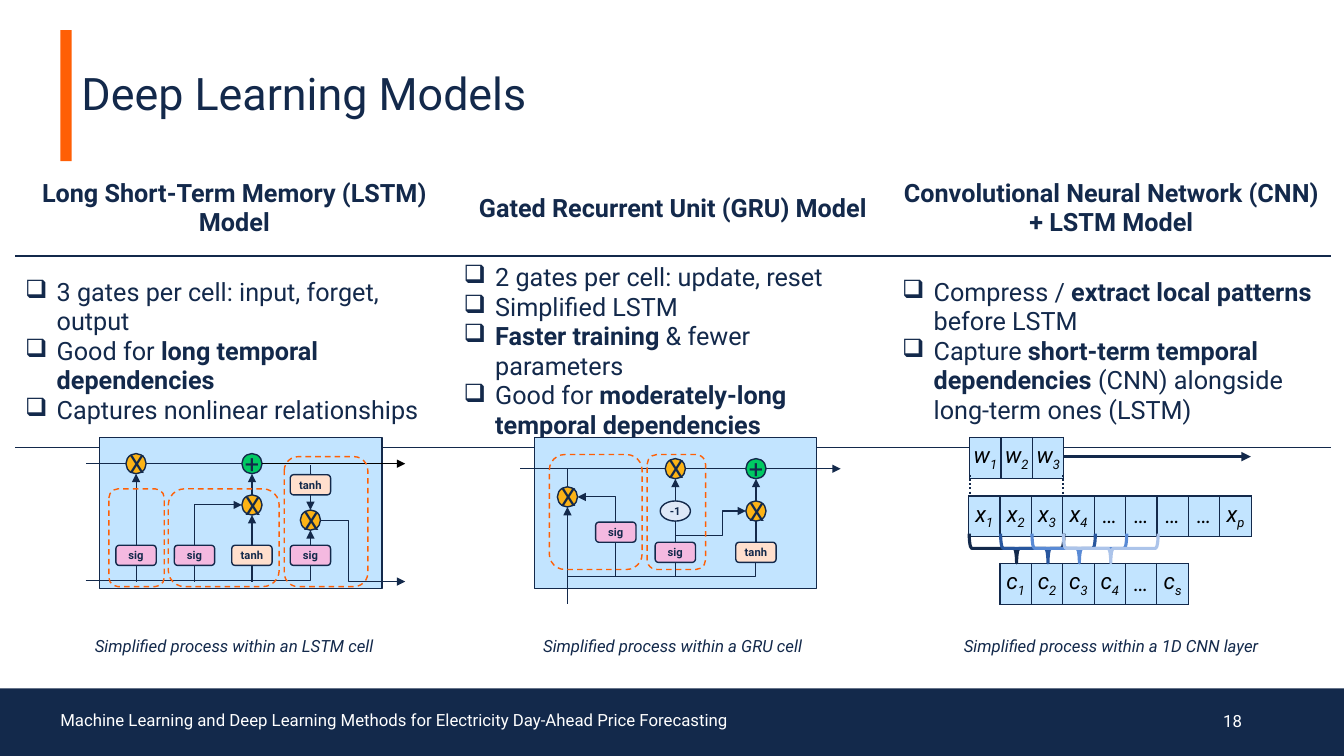
"""Build the slide comparing LSTM, GRU and CNN + LSTM models."""
from pptx import Presentation
from pptx.dml.color import RGBColor
from pptx.enum.dml import MSO_LINE
from pptx.enum.shapes import MSO_CONNECTOR, MSO_SHAPE
from pptx.enum.text import MSO_ANCHOR, PP_ALIGN
from pptx.oxml.ns import qn
from pptx.oxml.xmlchemy import OxmlElement
from pptx.util import Pt

PX = 9144
FONT = "Roboto"
COLORS = {
    "navy": "13294B", "orange": "FF5F05", "white": "FFFFFF", "black": "000000",
    "sky": "C2E4FF", "pink": "F4B9E0", "peach": "FFDFCD", "amber": "FCB316",
    "green": "00C962", "mist": "DEE8F7",
    "blue1": "28569E", "blue2": "598AD5", "blue3": "ACC4EA",
}
TITLE = "Deep Learning Models"
FOOTER = "Machine Learning and Deep Learning Methods for Electricity Day-Ahead Price Forecasting"
PAGE = "18"
MODELS = [
    ("Long Short-Term Memory (LSTM) Model",
     ["3 gates per cell: input, forget, output",
      "Good for **long temporal dependencies**",
      "Captures nonlinear relationships"],
     "Simplified process within an LSTM cell"),
    ("Gated Recurrent Unit (GRU) Model",
     ["2 gates per cell: update, reset",
      "Simplified LSTM",
      "**Faster training** & fewer parameters",
      "Good for **moderately-long temporal dependencies**"],
     "Simplified process within a GRU cell"),
    ("Convolutional Neural Network (CNN) + LSTM Model",
     ["Compress / **extract local patterns** before LSTM",
      "Capture **short-term temporal dependencies** (CNN) alongside long-term ones (LSTM)"],
     "Simplified process within a 1D CNN layer"),
]
ROW_HEIGHTS = [94, 186, 212]
COLUMN_WIDTH = 435

CELL_LEFTS = [99, 530]
NODE_STYLES = {
    "sig": (MSO_SHAPE.ROUNDED_RECTANGLE, 40, "pink", 8),
    "tanh": (MSO_SHAPE.ROUNDED_RECTANGLE, 40, "peach", 8),
    "-1": (MSO_SHAPE.OVAL, 30, "mist", 8),
    "X": (MSO_SHAPE.OVAL, 20, "amber", 18),
    "+": (MSO_SHAPE.OVAL, 20, "green", 18),
}
NODES = [
    ("sig", 135, 551), ("tanh", 250, 551), ("sig", 193, 551), ("sig", 308, 551),
    ("tanh", 308, 481), ("X", 308, 516), ("X", 250, 501), ("+", 250, 460), ("X", 135, 460),
    ("sig", 611, 528), ("sig", 670, 548), ("tanh", 750, 548), ("X", 563, 493),
    ("X", 750, 507), ("X", 670, 465), ("+", 750, 465), ("-1", 670, 507),
]
GATE_OUTLINES = [
    (108, 485, 55, 97), (167, 485, 110, 97), (282, 453, 83, 129),
    (545, 451, 92, 114), (642, 451, 58, 114),
]
ARROWS = [
    (250, 541, 250, 511), (250, 491, 250, 470), (135, 541, 135, 470),
    (308, 541, 308, 526), (308, 491, 308, 506), (670, 497, 670, 475),
    (750, 497, 750, 475), (760, 465, 834, 465), (563, 599, 563, 503),
]
WIRES = [
    (516, 465, 660, 465), (563, 483, 563, 465), (611, 538, 611, 572), (670, 558, 670, 572),
    (670, 538, 670, 517), (680, 465, 740, 465), (750, 538, 750, 517), (250, 561, 250, 577),
    (193, 561, 193, 577), (135, 561, 135, 577), (308, 471, 308, 461), (125, 460, 85, 460),
    (145, 460, 240, 460),
]
CORNERS = [
    (240, 501, 193, 541, "headEnd"), (573, 493, 611, 518, "headEnd"),
    (563, 572, 750, 558, None), (85, 576, 308, 561, None),
]
STEPS = [(318, 516, 402, 577, 0.336), (670, 531, 740, 507, 0.672)]

VECTORS = [
    (961, 492, ["x1", "x2", "x3", "x4", "…", "…", "…", "…", "xp"]),
    (962, 434, ["w1", "w2", "w3"]),
    (992, 559, ["c1", "c2", "c3", "c4", "…", "cs"]),
]
VECTOR_STEP = 31.15
BRACE_COLORS = ["navy", "blue1", "blue2", "blue3"]

presentation = Presentation()
presentation.slide_width, presentation.slide_height = 12192000, 6858000
slide = presentation.slides.add_slide(presentation.slide_layouts[6])


def emu(*lengths):
    return [round(length * PX) for length in lengths]


def rgb(name):
    return RGBColor.from_string(COLORS[name])


def child(parent, tag, **attributes):
    element = OxmlElement(tag)
    for key, value in attributes.items():
        element.set(key, str(value))
    parent.append(element)
    return element


def style(font, size, color="navy", bold=None, italic=None):
    font.name, font.size, font.bold, font.italic = FONT, Pt(size), bold, italic
    font.color.rgb = rgb(color)


def add_shape(kind, box, fill=None, line=None, width=1):
    shape = slide.shapes.add_shape(kind, *emu(*box))
    shape.shadow.inherit = False
    if fill:
        shape.fill.solid()
        shape.fill.fore_color.rgb = rgb(fill)
    else:
        shape.fill.background()
    if line:
        shape.line.color.rgb = rgb(line)
        shape.line.width = Pt(width)
    else:
        shape.line.fill.background()
    return shape


def add_text(box, text, size, color, align=PP_ALIGN.LEFT, spacing=None):
    frame = slide.shapes.add_textbox(*emu(*box)).text_frame
    frame.word_wrap = True
    frame.vertical_anchor = MSO_ANCHOR.MIDDLE
    paragraph = frame.paragraphs[0]
    paragraph.text, paragraph.alignment, paragraph.line_spacing = text, align, spacing
    style(paragraph.font, size, color)


def connect(ends, arrow=None, preset="line", bend=None, color="navy", width=0.75, dash=None):
    connector = slide.shapes.add_connector(MSO_CONNECTOR.STRAIGHT, *emu(*ends))
    connector.line.color.rgb = rgb(color)
    connector.line.width = Pt(width)
    if dash:
        connector.line.dash_style = dash
    properties = connector._element.spPr
    geometry = properties.find(qn("a:prstGeom"))
    geometry.set("prst", preset)
    if bend:
        child(geometry.find(qn("a:avLst")), "a:gd", name="adj1", fmla=f"val {round(bend * 100000)}")
    if arrow:
        child(properties.find(qn("a:ln")), f"a:{arrow}", type="triangle")
    child(properties, "a:effectLst")


def add_table(left, top, widths, heights):
    frame = slide.shapes.add_table(len(heights), len(widths),
                                   *emu(left, top, sum(widths), sum(heights)))
    table = frame.table
    table.first_row = table.horz_banding = False
    frame._element.find(".//" + qn("a:tableStyleId")).text = "{2D5ABB26-0587-4C30-8999-92F81FD0307C}"
    for column, width in zip(table.columns, emu(*widths)):
        column.width = width
    for row, height in zip(table.rows, emu(*heights)):
        row.height = height
    return table


def add_borders(cell, sides):
    for side in sides:
        line = child(cell._tc.get_or_add_tcPr(), f"a:ln{side}", w=12700)
        child(child(line, "a:solidFill"), "a:srgbClr", val=COLORS["navy"])


def fill_model_cell(cell, row, content):
    cell.vertical_anchor = MSO_ANCHOR.BOTTOM if row == 2 else MSO_ANCHOR.MIDDLE
    add_borders(cell, ["B", "TB", "T"][row])
    cell.fill.background()
    frame = cell.text_frame
    if row != 1:
        paragraph = frame.paragraphs[0]
        paragraph.text, paragraph.alignment = content, PP_ALIGN.CENTER
        style(paragraph.font, 12 if row else 18, bold=row == 0, italic=row == 2)
        return
    for index, item in enumerate(content):
        paragraph = frame.add_paragraph() if index else frame.paragraphs[0]
        properties = paragraph._p.get_or_add_pPr()
        properties.set("marL", "285750")
        properties.set("indent", "-285750")
        child(properties, "a:buChar", char="❑")
        for part, text in enumerate(item.split("**")):
            if text:
                run = paragraph.add_run()
                run.text = text
                style(run.font, 18, bold=part % 2 == 1)


def add_vector(left, top, labels):
    table = add_table(left, top, [VECTOR_STEP] * len(labels), [37])
    for cell, label in zip(table.rows[0].cells, labels):
        cell.margin_left = cell.margin_right = 0
        cell.vertical_anchor = MSO_ANCHOR.MIDDLE
        add_borders(cell, "LRTB")
        cell.fill.solid()
        cell.fill.fore_color.rgb = rgb("sky")
        paragraph = cell.text_frame.paragraphs[0]
        paragraph.alignment = PP_ALIGN.CENTER
        for index, letter in enumerate(label):
            run = paragraph.add_run()
            run.text = letter
            style(run.font, 16, "black", italic=True)
            if index:
                run.font._element.set("baseline", "-25000")


def add_node(label, center_x, center_y):
    kind, width, fill, size = NODE_STYLES[label]
    shape = add_shape(kind, (center_x - width / 2, center_y - 10, width, 20), fill, "navy")
    frame = shape.text_frame
    frame.margin_left = frame.margin_right = 0
    frame.vertical_anchor = MSO_ANCHOR.MIDDLE
    paragraph = frame.paragraphs[0]
    paragraph.text, paragraph.alignment = label, PP_ALIGN.CENTER
    style(paragraph.font, size, bold=size == 8)


def main():
    add_shape(MSO_SHAPE.RECTANGLE, (60, 30, 11, 130), "orange")
    add_shape(MSO_SHAPE.RECTANGLE, (0, 683, 1333.33, 67), "navy")
    add_text((71, 30, 1134, 130), TITLE, 32, "navy", spacing=0.9)
    add_text((942, 695, 300, 40), PAGE, 12, "white", PP_ALIGN.RIGHT)
    add_text((50, 695, 892, 40), FOOTER, 12, "white", spacing=0.9)
    models = add_table(15, 160, [COLUMN_WIDTH] * 3, ROW_HEIGHTS)
    for column, model in enumerate(MODELS):
        for row, content in enumerate(model):
            fill_model_cell(models.cell(row, column), row, content)
    for left in CELL_LEFTS:
        add_shape(MSO_SHAPE.RECTANGLE, (left, 434, 280, 150), "sky", "navy")
    for node in NODES:
        add_node(*node)
    for ends in ARROWS:
        connect(ends, "tailEnd")
    connect((260, 460, 402, 460), "tailEnd", color="black")
    for ends in WIRES:
        connect(ends)
    for *ends, arrow in CORNERS:
        connect(ends, arrow, "bentConnector2")
    for *ends, bend in STEPS:
        connect(ends, "tailEnd", "bentConnector3", bend)
    for box in GATE_OUTLINES:
        outline = add_shape(MSO_SHAPE.ROUNDED_RECTANGLE, box, line="orange")
        outline.line.dash_style = MSO_LINE.DASH
    for vector in VECTORS:
        add_vector(*vector)
    for x in (962, 1055):
        connect((x, 471, x, 492), width=1.5, dash=MSO_LINE.ROUND_DOT)
    for index, color in enumerate(BRACE_COLORS):
        brace = add_shape(MSO_SHAPE.RIGHT_BRACE, (994 + index * VECTOR_STEP, 497, 29, 94),
                          line=color, width=2.25)
        brace.rotation = 90
    connect((1055, 453, 1241, 453), "tailEnd", width=2.25)
    presentation.save("out.pptx")


if __name__ == "__main__":
    main()
